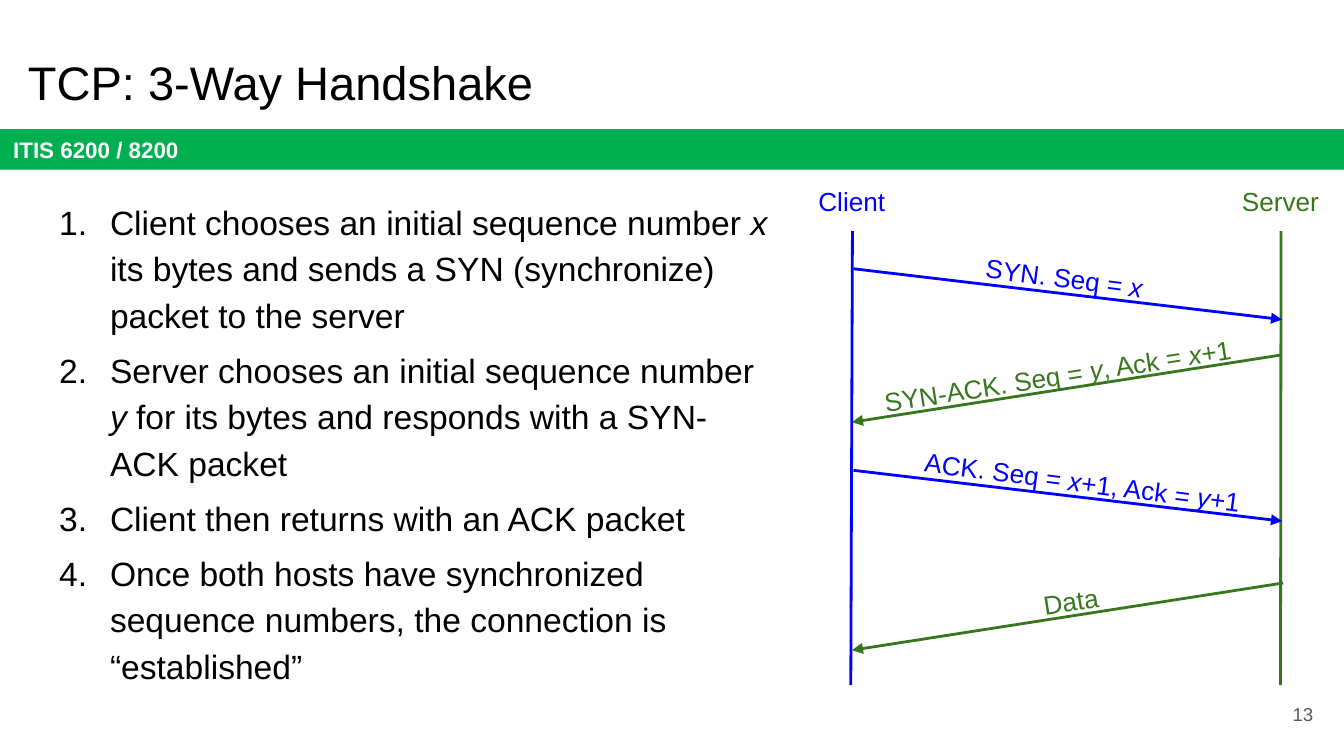
from dataclasses import dataclass

from lxml.etree import SubElement
from pptx import Presentation
from pptx.dml.color import RGBColor
from pptx.enum.shapes import MSO_CONNECTOR as Connector, MSO_SHAPE as Shape
from pptx.enum.text import MSO_ANCHOR as Anchor, PP_ALIGN as Align
from pptx.oxml.ns import qn
from pptx.util import Cm, Pt

BLACK = RGBColor(0, 0, 0)
WHITE = RGBColor(255, 255, 255)
GRAY = RGBColor(0x59, 0x59, 0x59)
BAND_GREEN = RGBColor(0x00, 0xB0, 0x50)
CLIENT_BLUE = RGBColor(0x00, 0x00, 0xFF)
SERVER_GREEN = RGBColor(0x38, 0x76, 0x1D)
FONT = "Arial"
LABEL_HEIGHT = 1.12


@dataclass
class Step:
    text: str
    lines: int


@dataclass
class Host:
    name: str
    color: RGBColor
    label_left: float
    line_top_x: float
    line_bottom_x: float
    message_drop: float
    tilt: float


@dataclass
class Message:
    sender: Host
    text: str
    start: tuple[float, float]
    end_x: float
    label: tuple[float, float, float]


CLIENT = Host("Client", CLIENT_BLUE, 15.06, 16.11, 16.08, 0.96, 7.3)
SERVER = Host("Server", SERVER_GREEN, 23.16, 24.21, 24.2, 1.27, -8.8)

STEPS = [
    Step("Client chooses an initial sequence number *x* its bytes and sends "
         "a SYN (synchronize) packet to the server", 3),
    Step("Server chooses an initial sequence number *y* for its bytes and "
         "responds with a SYN-ACK packet", 3),
    Step("Client then returns with an ACK packet", 1),
    Step("Once both hosts have synchronized sequence numbers, the connection "
         "is “established”", 3),
]

MESSAGES = [
    Message(CLIENT, "SYN. Seq = *x*", (16.13, 5.08), 24.23, (18.16, 4.7, 3.91)),
    Message(SERVER, "SYN-ACK. Seq = *y*, Ack = *x*+1", (24.21, 6.71), 16.1,
            (16.36, 6.55, 7.26)),
    Message(CLIENT, "ACK. Seq = *x*+1, Ack = *y*+1", (16.13, 8.89), 24.23,
            (17.04, 8.56, 6.83)),
    Message(SERVER, "Data", (24.25, 11.02), 16.1, (16.38, 10.82, 7.72)),
]


def write(shape, text: str, size: float, color: RGBColor, align=Align.LEFT,
          anchor=Anchor.TOP):
    frame = shape.text_frame
    frame.word_wrap = True
    frame.vertical_anchor = anchor
    frame.margin_left = frame.margin_right = Cm(0.25)
    frame.margin_top = frame.margin_bottom = Cm(0.25)
    paragraph = frame.paragraphs[0]
    paragraph.alignment = align
    paragraph.font.name = FONT
    paragraph.font.size = Pt(size)
    paragraph.font.color.rgb = color
    for index, part in enumerate(text.split("*")):
        run = paragraph.add_run()
        run.text = part
        if index % 2:
            run.font.italic = True
    return paragraph


def add_text(shapes, box: tuple[float, float, float, float], text: str,
             size: float, color: RGBColor, align=Align.LEFT, anchor=Anchor.TOP):
    shape = shapes.add_textbox(*map(Cm, box))
    write(shape, text, size, color, align, anchor)
    return shape


def add_line(shapes, start: tuple[float, float], end: tuple[float, float],
             color: RGBColor, arrow: bool = False) -> None:
    line = shapes.add_connector(Connector.STRAIGHT, *map(Cm, start + end))
    line.line.color.rgb = color
    line.line.width = Pt(1.5)
    if arrow:
        SubElement(line.line._get_or_add_ln(), qn("a:tailEnd"), type="triangle")
    SubElement(line._element.spPr, qn("a:effectLst"))


def add_step(shapes, number: int, step: Step, top: float, height: float) -> None:
    shape = add_text(shapes, (0.56, top, 14.27, height), step.text, 18, BLACK)
    shape.text_frame.margin_bottom = 0
    paragraph = shape.text_frame.paragraphs[0]
    paragraph.line_spacing = 1.15
    properties = paragraph._p.get_or_add_pPr()
    properties.set("marL", str(Cm(1.27)))
    properties.set("indent", str(Cm(-0.96)))
    bullet = properties.makeelement(
        qn("a:buAutoNum"), {"type": "arabicPeriod", "startAt": str(number)})
    properties.find(qn("a:defRPr")).addprevious(bullet)


def add_host(shapes, host: Host) -> None:
    add_text(shapes, (host.label_left, 3.25, 2.08, LABEL_HEIGHT), host.name, 14,
             host.color, Align.CENTER)
    add_line(shapes, (host.line_top_x, 4.37), (host.line_bottom_x, 12.95),
             host.color)


def add_message(shapes, message: Message) -> None:
    group = shapes.add_group_shape()
    sender = message.sender
    end = (message.end_x, message.start[1] + sender.message_drop)
    add_line(group.shapes, message.start, end, sender.color, arrow=True)
    label = add_text(group.shapes, (*message.label, LABEL_HEIGHT), message.text,
                     14, sender.color, Align.CENTER)
    label.rotation = sender.tilt


def main() -> None:
    presentation = Presentation()
    presentation.slide_width, presentation.slide_height = Cm(25.4), Cm(14.29)
    shapes = presentation.slides.add_slide(presentation.slide_layouts[6]).shapes

    band = shapes.add_shape(Shape.RECTANGLE, *map(Cm, (0, 2.44, 25.4, 0.77)))
    band.shadow.inherit = False
    band.fill.solid()
    band.fill.fore_color.rgb = BAND_GREEN
    band.line.fill.background()
    course = write(band, "ITIS 6200 / 8200", 12, WHITE, anchor=Anchor.MIDDLE)
    course.font.bold = True

    add_text(shapes, (0.28, 0.76, 23.67, 1.6), "TCP: 3-Way Handshake", 25.2, BLACK)
    add_text(shapes, (23.55, 12.95, 1.52, 1.09), "13", 10, GRAY, Align.RIGHT,
             Anchor.MIDDLE)

    top = 3.45
    for number, step in enumerate(STEPS, start=1):
        height = 0.16 + 0.88 * step.lines
        add_step(shapes, number, step, top, height)
        top += height

    for host in (CLIENT, SERVER):
        add_host(shapes, host)
    for message in MESSAGES:
        add_message(shapes, message)

    presentation.save("out.pptx")


main()
